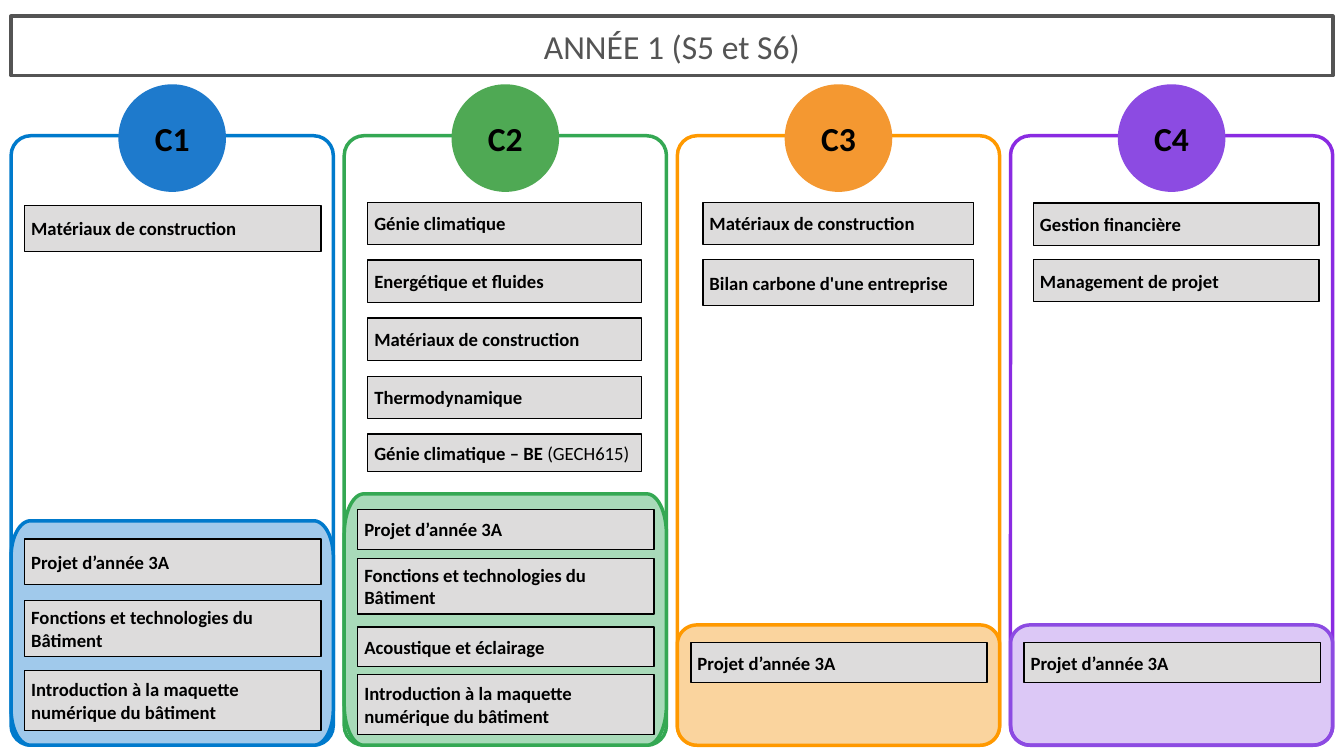
from math import cos, radians, sin

from lxml import etree
from pptx import Presentation
from pptx.dml.color import RGBColor
from pptx.enum.shapes import MSO_SHAPE
from pptx.enum.text import MSO_ANCHOR, PP_ALIGN
from pptx.oxml.ns import qn
from pptx.util import Inches, Pt

RECTANGLE = MSO_SHAPE.RECTANGLE
ROUNDED = MSO_SHAPE.ROUNDED_RECTANGLE
OVAL = MSO_SHAPE.OVAL
MIDDLE = MSO_ANCHOR.MIDDLE
LEFT, CENTER = PP_ALIGN.LEFT, PP_ALIGN.CENTER

# The slide is a grid of 80 by 45 square cells; every length below is in cells.
CELL = Inches(0.25)
MARGIN = 0.66
COLUMN_STEP = 19.83
COLUMN_WIDTH = 19.18
FRAME_TOP, FRAME_BOTTOM = 8.08, 44.36
CORNER = 1.17
BADGE_TOP, BADGE_SIZE = 5.08, 6.28
PROJECT_INSET, PROJECT_WIDTH = 0.8, 17.64

COLORS = {
    "title": "545454", "text": "000000", "module": "DDDCDC",
    "C1 frame": "007ACC", "C1 badge": "1E7ACC", "C1 band": "A0C9EB",
    "C2 frame": "34A853", "C2 badge": "4FA954", "C2 band": "A8DAB9",
    "C3 frame": "FF9900", "C3 badge": "F49831", "C3 band": "FAD49E",
    "C4 frame": "8A2BE2", "C4 badge": "8C4BE2", "C4 band": "8C4BE2",
}

PROJECT = "Projet d’année 3A"
MATERIALS = "Matériaux de construction"
FUNCTIONS = "Fonctions et technologies du Bâtiment"
MODEL = "Introduction à la maquette numérique du bâtiment"

# Modules are (text, top, height); text is a string or a list of (text, bold).
SKILLS = [
    {"name": "C1", "inset": 0.8, "width": 17.64, "band_top": 31,
     "modules": [(MATERIALS, 12.24, 2.72)],
     "projects": [(PROJECT, 32.08, 2.72), (FUNCTIONS, 35.76, 3.32),
                  (MODEL, 39.92, 3.56)]},
    {"name": "C2", "inset": 1.4, "width": 16.28, "band_top": 29.4,
     "modules": [("Génie climatique", 12.04, 2.52),
                 ("Energétique et fluides", 15.48, 2.52),
                 (MATERIALS, 18.94, 2.52),
                 ("Thermodynamique", 22.4, 2.52),
                 ([("Génie climatique – BE ", True), ("(GECH615)", False)],
                  25.84, 2.24)],
     "projects": [(PROJECT, 30.32, 2.4), (FUNCTIONS, 33.24, 3.32),
                  ("Acoustique et éclairage", 37.32, 2.36),
                  (MODEL, 40.16, 3.56)]},
    {"name": "C3", "inset": 1.52, "width": 16.12, "band_top": 37.2,
     "modules": [(MATERIALS, 12.04, 2.52),
                 ("Bilan carbone d'une entreprise", 15.44, 2.76)],
     "projects": [(PROJECT, 38.24, 2.4)]},
    {"name": "C4", "inset": 1.36, "width": 17, "band_top": 37.2,
     "band_line": "C4 badge", "band_opacity": 30,
     "modules": [("Gestion financière", 12.08, 2.52),
                 ("Management de projet", 15.44, 2.52)],
     "projects": [(PROJECT, 38.24, 2.4)]},
]


def cells(count):
    return round(count * CELL)


def column_left(index):
    return MARGIN + index * COLUMN_STEP


def write(shape, text, *, size=20, color="text", bold=True, align=LEFT, margin=None):
    """Fill a shape with one paragraph; text is a string or (text, bold) pairs."""
    frame = shape.text_frame
    frame.word_wrap = True
    frame.vertical_anchor = MIDDLE
    if margin is not None:
        frame.margin_left = frame.margin_right = margin
        frame.margin_top = frame.margin_bottom = margin
    paragraph = frame.paragraphs[0]
    paragraph.alignment = align
    for part, is_bold in [(text, bold)] if isinstance(text, str) else text:
        run = paragraph.add_run()
        run.text = part
        run.font.name = "Calibri"
        run.font.size = Pt(size)
        run.font.bold = is_bold
        run.font.color.rgb = RGBColor.from_string(COLORS[color])


class SkillMap:
    def __init__(self, slide):
        self.shapes = slide.shapes

    def paint(self, shape, line, weight, fill=None):
        shape.shadow.inherit = False
        shape.line.color.rgb = RGBColor.from_string(COLORS[line])
        shape.line.width = Pt(weight)
        if fill:
            shape.fill.solid()
            shape.fill.fore_color.rgb = RGBColor.from_string(COLORS[fill])
        else:
            shape.fill.background()
        return shape

    def preset(self, kind, left, top, width, height, **paint):
        box = [cells(length) for length in (left, top, width, height)]
        return self.paint(self.shapes.add_shape(kind, *box), **paint)

    def title(self, text):
        banner = self.preset(RECTANGLE, MARGIN, 0.96, 80 - 2 * MARGIN, 3.54,
                             line="title", weight=3.75)
        write(banner, text, size=36, color="title", bold=False, align=CENTER)

    def frame(self, left, name):
        frame = self.preset(ROUNDED, left, FRAME_TOP, COLUMN_WIDTH,
                            FRAME_BOTTOM - FRAME_TOP,
                            line=f"{name} frame", weight=3.75)
        frame.adjustments[0] = CORNER / COLUMN_WIDTH

    def badge(self, left, name):
        color = f"{name} badge"
        badge = self.preset(OVAL, left + (COLUMN_WIDTH - BADGE_SIZE) / 2, BADGE_TOP,
                            BADGE_SIZE, BADGE_SIZE, line=color, weight=2.25, fill=color)
        write(badge, name, size=36, align=CENTER, margin=0)

    def band(self, left, top, name, line, opacity=None):
        """Draw the project area, whose corners are elliptical."""
        rise = 0.16 * (FRAME_BOTTOM - top)
        west, east = left + CORNER, left + COLUMN_WIDTH - CORNER
        north, south = top + rise, FRAME_BOTTOM - rise
        corners = [(east, south), (west, south), (west, north), (east, north)]
        points = []
        for quarter, (x, y) in enumerate(corners):
            for step in range(0, 91, 5):
                angle = radians(90 * quarter + step)
                points.append((cells(x + CORNER * cos(angle)),
                               cells(y + rise * sin(angle))))
        outline = self.shapes.build_freeform(*points[0], scale=1.0)
        outline.add_line_segments(points[1:], close=True)
        band = self.paint(outline.convert_to_shape(), line, 3.75, f"{name} band")
        if opacity:
            color = band.fill._xPr.find(f".//{qn('a:srgbClr')}")
            etree.SubElement(color, qn("a:alpha"), val=str(opacity * 1000))

    def module(self, text, left, top, width, height):
        box = self.preset(RECTANGLE, left, top, width, height,
                          line="text", weight=1.5, fill="module")
        write(box, text)


def main():
    deck = Presentation()
    deck.slide_width, deck.slide_height = cells(80), cells(45)
    skill_map = SkillMap(deck.slides.add_slide(deck.slide_layouts[6]))

    skill_map.title("ANNÉE 1 (S5 et S6)")
    for index, skill in enumerate(SKILLS):
        left, name = column_left(index), skill["name"]
        skill_map.frame(left, name)
        skill_map.badge(left, name)
        skill_map.band(left, skill["band_top"], name,
                       skill.get("band_line", f"{name} frame"),
                       skill.get("band_opacity"))
        for text, top, height in skill["modules"]:
            skill_map.module(text, left + skill["inset"], top, skill["width"], height)
        for text, top, height in skill["projects"]:
            skill_map.module(text, left + PROJECT_INSET, top, PROJECT_WIDTH, height)
    deck.save("out.pptx")


if __name__ == "__main__":
    main()
